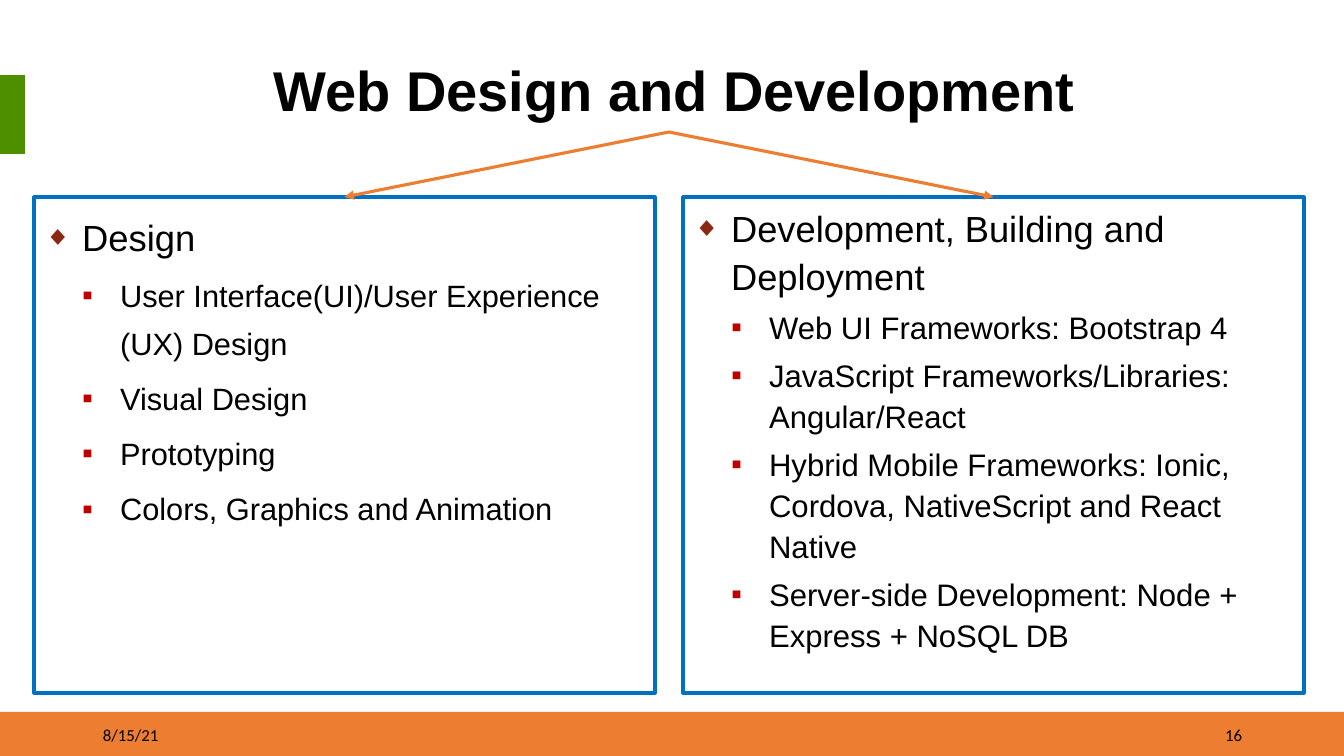
from lxml.etree import SubElement
from pptx import Presentation
from pptx.dml.color import RGBColor
from pptx.enum.shapes import MSO_CONNECTOR, MSO_SHAPE
from pptx.enum.text import MSO_ANCHOR, MSO_AUTO_SIZE, PP_ALIGN
from pptx.oxml.ns import qn
from pptx.util import Pt

PX = 914400 / 100.8
THEME = {
    "text": RGBColor(0x00, 0x00, 0x00),
    "orange": RGBColor(0xED, 0x7D, 0x31),
    "green": RGBColor(0x4E, 0x8F, 0x00),
    "frame": RGBColor(0x00, 0x70, 0xC0),
    "bullets": [("◆", "892912", 75), ("▪", "C00000", 100)],
    "font": "Arial",
    "footer_font": "Calibri",
    "title_size": 40,
    "footer_size": 12,
    "line_width": Pt(2.25),
}


def px(value):
    return round(value * PX)


def write(paragraph, text, size, font=THEME["font"], bold=False, **layout):
    run = paragraph.add_run()
    run.text = text
    run.font.color.rgb = THEME["text"]
    for name, value in {"name": font, "size": Pt(size), "bold": bold}.items():
        setattr(run.font, name, value)
    for name, value in layout.items():
        setattr(paragraph, name, value)


presentation = Presentation()
presentation.slide_width = px(1344)
presentation.slide_height = px(756)
slide = presentation.slides.add_slide(presentation.slide_layouts[3])
title, design, development = slide.placeholders

bars = [((0, 712, 1344, 44), "orange"), ((0, 75, 25, 79), "green")]
for box, color in bars:
    bar = slide.shapes.add_shape(MSO_SHAPE.RECTANGLE, *map(px, box))
    bar.shadow.inherit = False
    bar.fill.solid()
    bar.fill.fore_color.rgb = THEME[color]
    bar.line.fill.background()

footers = [(93, "8/15/21", PP_ALIGN.LEFT), (950, "16", PP_ALIGN.RIGHT)]
for left, text, alignment in footers:
    footer = slide.shapes.add_textbox(px(left), px(715), px(302), px(40))
    footer.text_frame.word_wrap = True
    footer.text_frame.vertical_anchor = MSO_ANCHOR.MIDDLE
    write(footer.text_frame.paragraphs[0], text, THEME["footer_size"],
          THEME["footer_font"], alignment=alignment)

title_box = {"left": 34, "top": 55, "width": 1270, "height": 77}
for name, value in title_box.items():
    setattr(title, name, px(value))
title.text_frame.auto_size = MSO_AUTO_SIZE.NONE
title.text_frame.vertical_anchor = MSO_ANCHOR.MIDDLE
heading = title.text_frame.paragraphs[0]
write(heading, "Web Design and Development", THEME["title_size"], bold=True,
      alignment=PP_ALIGN.CENTER, line_spacing=0.9)
heading._p.get_or_add_pPr().set("marL", str(px(10)))

panels = [
    (design, 34, 1.3, (26, 22), [
        "Design",
        "User Interface(UI)/User Experience (UX) Design",
        "Visual Design",
        "Prototyping",
        "Colors, Graphics and Animation",
    ]),
    (development, 683, 1.1, (25.9, 22.2), [
        "Development, Building and Deployment",
        "Web UI Frameworks: Bootstrap 4",
        "JavaScript Frameworks/Libraries: Angular/React",
        "Hybrid Mobile Frameworks: Ionic, Cordova, NativeScript and React Native",
        "Server-side Development: Node + Express + NoSQL DB",
    ]),
]
for panel, left, spacing, sizes, items in panels:
    panel_box = {"left": left, "top": 197, "width": 621, "height": 496}
    for name, value in panel_box.items():
        setattr(panel, name, px(value))
    panel.line.color.rgb = THEME["frame"]
    panel.line.width = THEME["line_width"]
    frame = panel.text_frame
    frame.auto_size = MSO_AUTO_SIZE.NONE
    frame.vertical_anchor = MSO_ANCHOR.TOP
    for index, item in enumerate(items):
        level = min(index, 1)
        paragraph = frame.add_paragraph() if index else frame.paragraphs[0]
        write(paragraph, item, sizes[level], level=level, line_spacing=spacing,
              space_before=Pt(5 * level), space_after=Pt(0))
        symbol, color, percent = THEME["bullets"][level]
        properties = paragraph._p.get_or_add_pPr()
        properties.set("marL", str(px(38 * (level + 1))))
        properties.set("indent", str(px(-38)))
        bullet_color = SubElement(properties, qn("a:buClr"))
        SubElement(bullet_color, qn("a:srgbClr"), val=color)
        SubElement(properties, qn("a:buSzPct"), val=str(percent * 1000))
        SubElement(properties, qn("a:buFont"), typeface=THEME["font"])
        SubElement(properties, qn("a:buChar"), char=symbol)

for panel in (design, development):
    arrow = slide.shapes.add_connector(MSO_CONNECTOR.STRAIGHT, 0, 0, 0, 0)
    arrow.begin_connect(title, 2)
    arrow.end_connect(panel, 0)
    arrow.line.color.rgb = THEME["orange"]
    arrow.line.width = THEME["line_width"]
    SubElement(arrow.line._get_or_add_ln(), qn("a:tailEnd"), type="triangle")
    SubElement(arrow._element.spPr, qn("a:effectLst"))

presentation.save("out.pptx")
